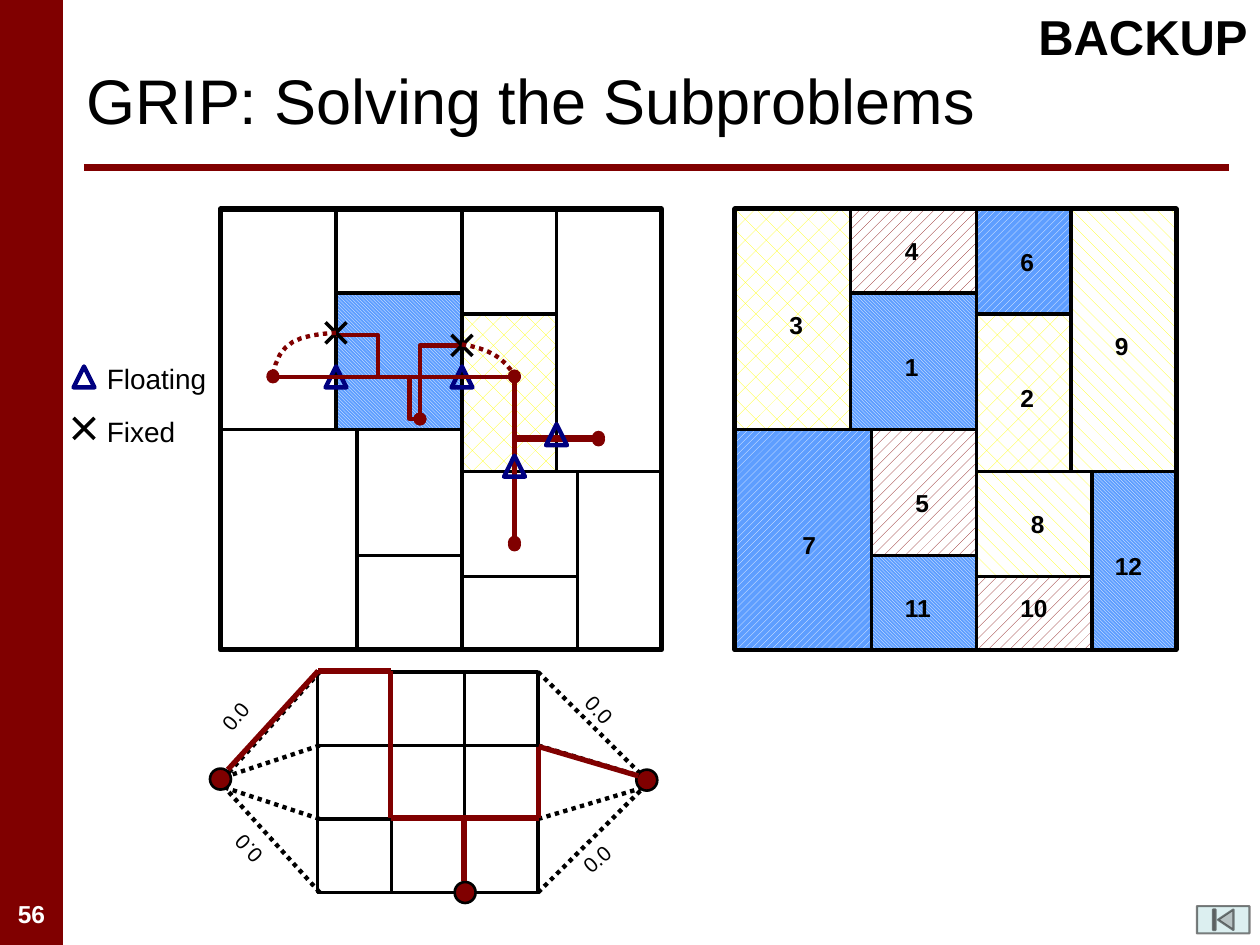
from dataclasses import dataclass
from itertools import pairwise

from lxml.etree import SubElement
from pptx import Presentation
from pptx.dml.color import RGBColor
from pptx.enum.dml import MSO_LINE, MSO_PATTERN
from pptx.enum.shapes import MSO_CONNECTOR, MSO_SHAPE
from pptx.enum.text import MSO_ANCHOR, MSO_AUTO_SIZE, PP_ALIGN
from pptx.oxml.ns import qn
from pptx.util import Inches, Pt

COLORS = {"maroon": "800000", "black": "000000", "white": "FFFFFF", "navy": "000080",
          "yellow": "FFFF00", "blue": "5E9EFF", "button": "BBE0E3"}
FONT = "Arial"
COLUMNS, ROWS = 120, 90
PANEL_TOP, PANEL_SIZE = 19.9, 42
LEFT_PANEL, RIGHT_PANEL = 21, 70
MESH_LEFT, MESH_TOP, MESH_CELL = 30.25, 64, 7

Point = tuple[float, float]

PATTERNS = {
    "brick": (MSO_PATTERN.DIAGONAL_BRICK, "yellow", "white"),
    "down": (MSO_PATTERN.DARK_DOWNWARD_DIAGONAL, "white", "blue"),
    "dots": (MSO_PATTERN.PERCENT_20, "maroon", "white"),
    "up": (MSO_PATTERN.WIDE_UPWARD_DIAGONAL, "white", "blue"),
    "shingle": (MSO_PATTERN.SHINGLE, "yellow", "white"),
}


@dataclass(frozen=True)
class Region:
    number: str
    column: float
    row: float
    width: float
    height: float
    pattern: str
    label: Point


REGIONS = [
    Region("1", 11, 8, 12, 13, "down", (15, 13)),
    Region("2", 23, 10, 9, 15, "brick", (26, 16)),
    Region("3", 0, 0, 11, 21, "brick", (4, 9)),
    Region("4", 11, 0, 12, 8, "dots", (15, 2)),
    Region("5", 13, 21, 10, 12, "dots", (16, 26)),
    Region("6", 23, 0, 9, 10, "up", (26, 3)),
    Region("7", 0, 21, 13, 21, "up", (5.25, 30)),
    Region("8", 23, 25, 11, 10, "shingle", (27, 28)),
    Region("9", 32, 0, 10, 25, "shingle", (35, 11)),
    Region("10", 23, 35, 11, 7, "dots", (26, 36)),
    Region("11", 13, 33, 10, 9, "down", (15, 36)),
    Region("12", 34, 25, 8, 17, "down", (35, 32)),
]

WALLS = [((23, 0), (23, 42)), ((0, 21), (23, 21)), ((23, 25), (42, 25)), ((32, 0), (32, 25)),
         ((34, 25), (34, 42)), ((11, 0), (11, 21)), ((13, 21), (13, 42)), ((23, 10), (32, 10)),
         ((11, 8), (23, 8)), ((13, 33), (23, 33)), ((23, 35), (34, 35))]

presentation = Presentation()
presentation.slide_width, presentation.slide_height = Inches(10), Inches(7.5)
slide = presentation.slides.add_slide(presentation.slide_layouts[5])


def across(columns: float) -> int:
    return round(presentation.slide_width * columns / COLUMNS)


def down(rows: float) -> int:
    return round(presentation.slide_height * rows / ROWS)


def rgb(name: str) -> RGBColor:
    return RGBColor.from_string(COLORS[name])


def style_line(shape, color: str, width: float, dotted=False, head=False, tail=False) -> None:
    shape.line.color.rgb = rgb(color)
    shape.line.width = Pt(width)
    if dotted:
        shape.line.dash_style = MSO_LINE.ROUND_DOT
    for name, wanted in (("a:headEnd", head), ("a:tailEnd", tail)):
        if wanted:
            SubElement(shape.line._get_or_add_ln(), qn(name), type="oval")


def add_line(start: Point, end: Point, color="black", width=2.0, **options):
    line = slide.shapes.add_connector(MSO_CONNECTOR.STRAIGHT, across(start[0]), down(start[1]),
                                      across(end[0]), down(end[1]))
    style_line(line, color, width, **options)
    SubElement(line._element.spPr, qn("a:effectLst"))


def add_wire(points: list[Point], **options) -> None:
    scaled = [(across(x), down(y)) for x, y in points]
    builder = slide.shapes.build_freeform(*scaled[0], scale=1.0)
    builder.add_line_segments(scaled[1:], close=False)
    wire = builder.convert_to_shape()
    wire.shadow.inherit = False
    wire.fill.background()
    style_line(wire, "maroon", 2.5, **options)


def curve(a: Point, b: Point, c: Point, d: Point, steps: int = 8) -> list[Point]:
    shares = [step / steps for step in range(steps + 1)]
    return [tuple((1 - t) ** 3 * p + 3 * (1 - t) ** 2 * t * q + 3 * (1 - t) * t ** 2 * r + t ** 3 * s
                  for p, q, r, s in zip(a, b, c, d)) for t in shares]


def add_box(kind, left: float, top: float, width: float, height: float,
            fill=None, line=None, line_width=2.0, pattern=None):
    shape = slide.shapes.add_shape(kind, across(left), down(top), across(width), down(height))
    shape.shadow.inherit = False
    if pattern:
        shape.fill.patterned()
        shape.fill.pattern, front, back = PATTERNS[pattern]
        shape.fill.fore_color.rgb, shape.fill.back_color.rgb = rgb(front), rgb(back)
    elif fill:
        shape.fill.solid()
        shape.fill.fore_color.rgb = rgb(fill)
    else:
        shape.fill.background()
    if line:
        style_line(shape, line, line_width)
    else:
        shape.line.fill.background()
    return shape


def add_run(paragraph, text: str, size: float, color="black", bold=False) -> None:
    run = paragraph.add_run()
    run.text = text
    run.font.name, run.font.size, run.font.bold = FONT, Pt(size), bold
    run.font.color.rgb = rgb(color)


def add_text(text: str, left: float, top: float, width: float, height: float, size: float,
             color="black", bold=False, align=PP_ALIGN.LEFT, wrap=False, rotation=0.0) -> None:
    box = slide.shapes.add_textbox(across(left), down(top), across(width), down(height))
    box.rotation = rotation
    box.text_frame.word_wrap = wrap
    box.text_frame.auto_size = MSO_AUTO_SIZE.SHAPE_TO_FIT_TEXT
    paragraph = box.text_frame.paragraphs[0]
    paragraph.alignment = align
    add_run(paragraph, text, size, color, bold)


def add_region(region: Region, panel: float) -> None:
    add_box(MSO_SHAPE.RECTANGLE, panel + region.column, PANEL_TOP + region.row,
            region.width, region.height, line="black", pattern=region.pattern)


def add_panel(left: float) -> None:
    add_box(MSO_SHAPE.RECTANGLE, left, PANEL_TOP, PANEL_SIZE, PANEL_SIZE, line="black", line_width=3)
    for (x1, y1), (x2, y2) in WALLS:
        add_line((left + x1, PANEL_TOP + y1), (left + x2, PANEL_TOP + y2))


def add_triangle(left: float, top: float) -> None:
    add_box(MSO_SHAPE.ISOSCELES_TRIANGLE, left, top, 2, 2, line="navy", line_width=2.5)


def add_cross(left: float, top: float) -> None:
    add_line((left, top), (left + 2, top + 2))
    add_line((left + 2, top), (left, top + 2))


def add_frame() -> None:
    add_box(MSO_SHAPE.RECTANGLE, 0, 0, 6, ROWS, fill="maroon")
    add_line((8, 16), (117, 16), "maroon", 4)
    add_text("56", 0, 85, 6, 4, 14, "white", True, PP_ALIGN.CENTER, True)
    title = slide.shapes.title
    title.left, title.top, title.width, title.height = across(7), down(3), across(110), down(13)
    title.text_frame.vertical_anchor = MSO_ANCHOR.MIDDLE
    title.text_frame.auto_size = MSO_AUTO_SIZE.NONE
    paragraph = title.text_frame.paragraphs[0]
    paragraph.alignment = PP_ALIGN.LEFT
    add_run(paragraph, "GRIP: Solving the Subproblems", 36)
    add_text("BACKUP", 96, 0, 24, 6.8, 28, bold=True, align=PP_ALIGN.RIGHT, wrap=True)
    button = add_box(MSO_SHAPE.ACTION_BUTTON_BEGINNING, 114, 86.3, 5, 2.6, "button", "black", 1.25)
    for color in button._element.spPr.iter(qn("a:srgbClr")):
        SubElement(color, qn("a:alpha"), val="50000")


def add_routing() -> None:
    for region in REGIONS[1::-1]:
        add_region(region, LEFT_PANEL)
    add_panel(LEFT_PANEL)
    add_wire([(32, 31.9), (36, 31.9), (36, 35.9), (40, 35.9), (40, 32.9), (44, 32.9)])
    add_wire([(39, 35.9), (39, 39.9), (40, 39.9)], tail=True)
    add_triangle(31, 34.9)
    add_triangle(43, 34.9)
    add_line((26, 35.9), (49, 35.9), "maroon", 2.5, head=True, tail=True)
    add_line((40, 35.9), (40, 39.9), "maroon", 2.5, tail=True)
    for top in (35.9, 35.65):
        add_wire([(49, top), (49, top + 6), (57, top + 6)], tail=True)
        add_line((49, top + 6), (49, top + 16), "maroon", 2.5, tail=True)
    add_cross(43, 31.9)
    add_cross(31, 30.7)
    add_wire(curve((32, 31.7), (28.5, 31.9), (26.5, 32.5), (26, 35.8)), dotted=True, tail=True)
    add_wire(curve((44, 32.8), (46.5, 33.2), (48, 34), (49, 35.8)), dotted=True, tail=True)
    add_triangle(48, 43.4)
    add_triangle(52, 40.4)
    add_triangle(7, 34.9)
    add_cross(7, 39.8)
    add_text("Floating", 9, 33.85, 12, 4.4, 16)
    add_text("Fixed", 9, 38.85, 9, 4.4, 16)


def add_schedule() -> None:
    add_panel(RIGHT_PANEL)
    for region in REGIONS:
        add_region(region, RIGHT_PANEL)
    for region in REGIONS:
        column, row = region.label
        add_text(region.number, RIGHT_PANEL + column, PANEL_TOP + row,
                 2.5 + 1.25 * len(region.number), 4, 14, bold=True)


def add_mesh() -> None:
    size = 3 * MESH_CELL
    right, bottom = MESH_LEFT + size, MESH_TOP + size
    for offset in (MESH_CELL, 2 * MESH_CELL):
        add_line((MESH_LEFT + offset, MESH_TOP), (MESH_LEFT + offset, bottom), width=1.75)
        add_line((MESH_LEFT, MESH_TOP + offset), (right, MESH_TOP + offset), width=1.75)
    add_box(MSO_SHAPE.RECTANGLE, MESH_LEFT, MESH_TOP, size, size, line="black")
    for edge, node in ((right, 61.3), (MESH_LEFT + 0.2, 21.4)):
        for index, target in enumerate((74, 74, 75, 75)):
            add_line((edge, MESH_TOP + MESH_CELL * index), (node, target), width=2.5, dotted=True)
    for left, top in ((43.3, 84), (60.6, 73.3), (20, 73.2)):
        add_box(MSO_SHAPE.OVAL, left, top, 2, 2, "maroon", "black", 1.5)
    for left, top, rotation in ((54.5, 65.8, 47.1), (54.25, 80, 318.4),
                                (19.8, 66.4, 309.7), (21, 79.1, 226.9)):
        add_text("0.0", left, top, 5.2, 3.6, 12, rotation=rotation)
    route = [(21.7, 73.3), (30.3, 63.9), (37.2, 63.9), (37.2, 77.9),
             (51.3, 77.9), (51.3, 71.1), (60.8, 73.9)]
    for start, end in [*pairwise(route), ((44.2, 83.9), (44.2, 78))]:
        add_line(start, end, "maroon", 3)


add_frame()
add_routing()
add_schedule()
add_mesh()
presentation.save("out.pptx")
